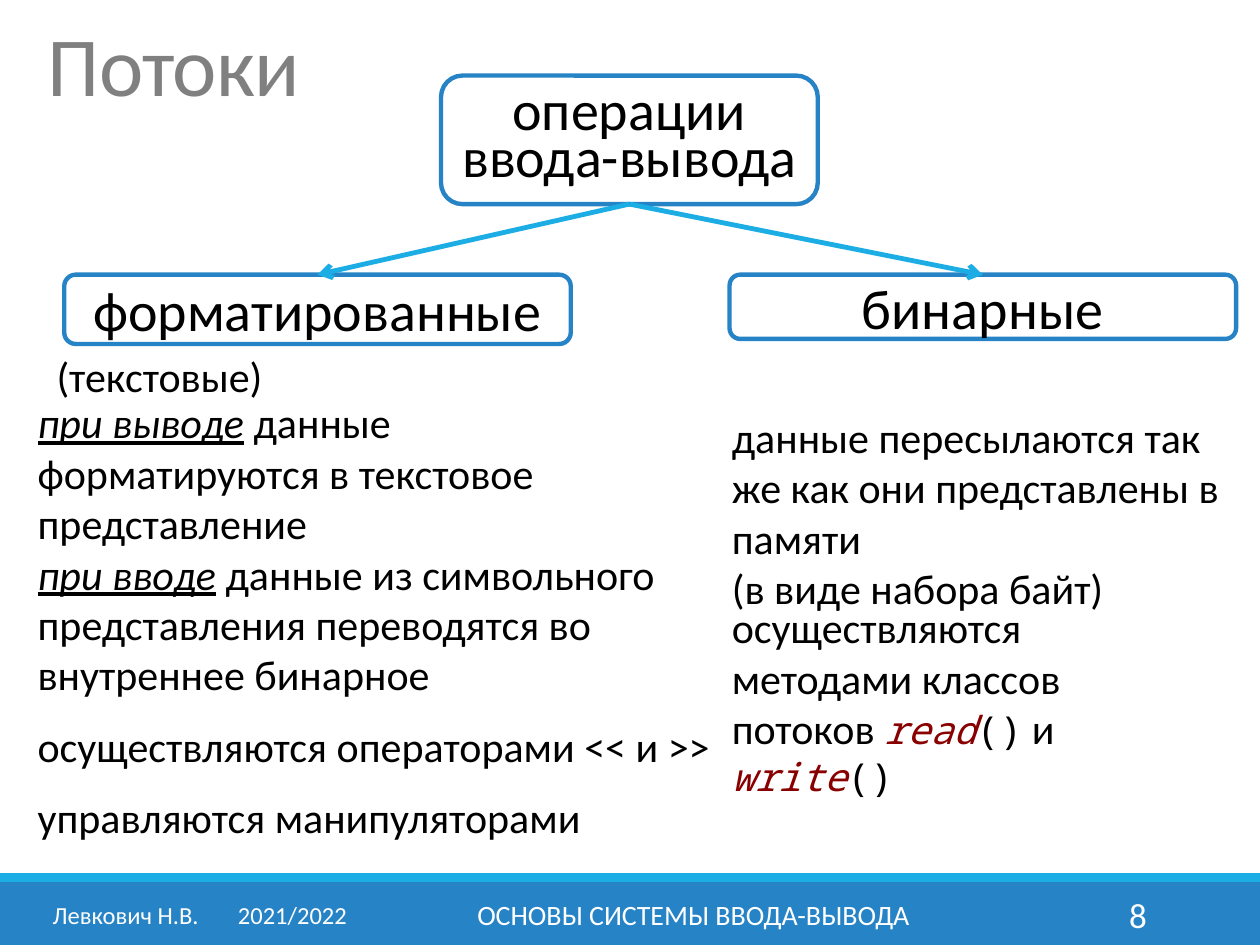
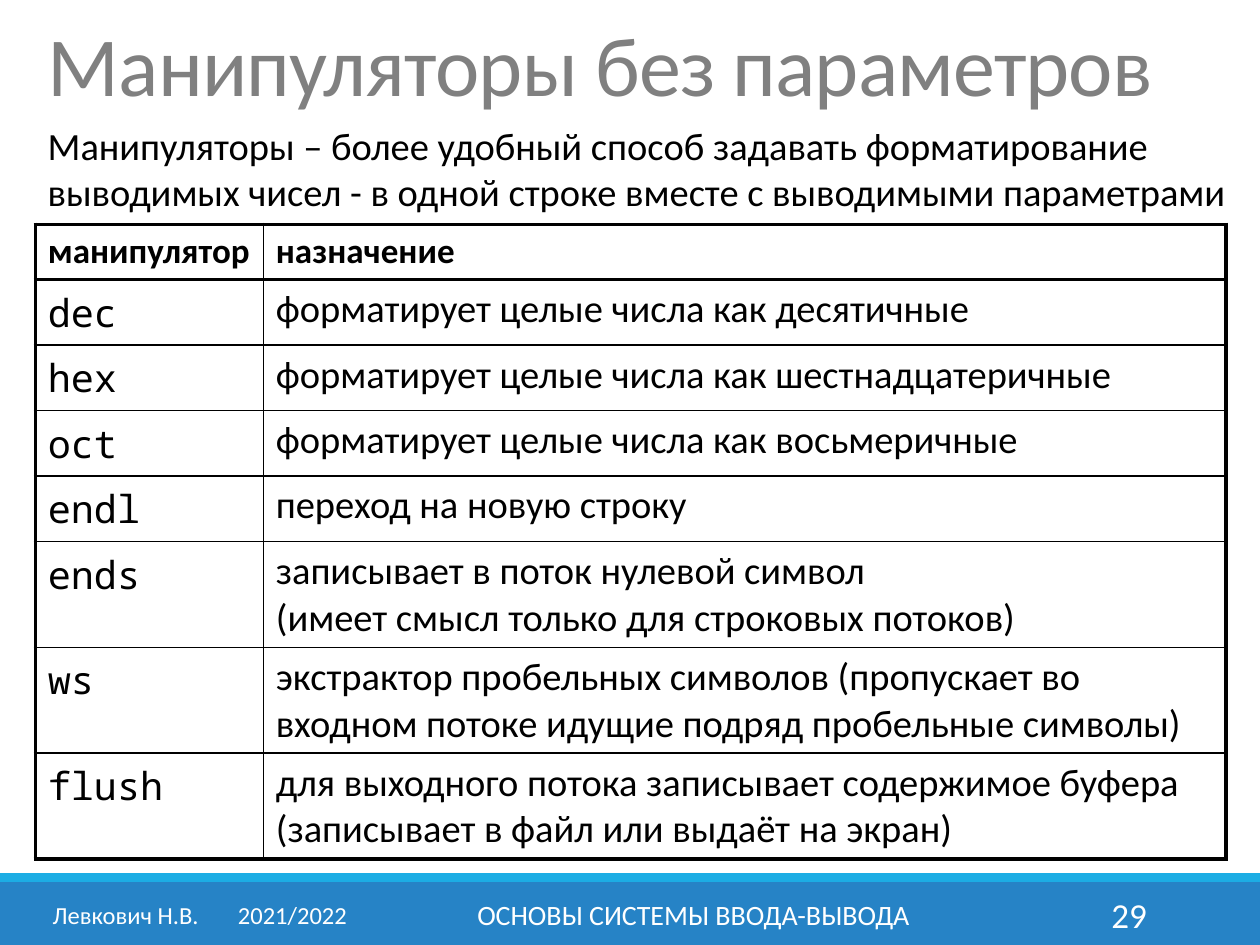
from collections import namedtuple
from dataclasses import dataclass

from lxml import etree
from pptx import Presentation
from pptx.dml.color import RGBColor
from pptx.enum.shapes import MSO_CONNECTOR, MSO_SHAPE
from pptx.enum.text import MSO_ANCHOR, MSO_AUTO_SIZE, PP_ALIGN
from pptx.oxml.ns import qn
from pptx.util import Inches, Pt

RECT, ROUNDED = MSO_SHAPE.RECTANGLE, MSO_SHAPE.ROUNDED_RECTANGLE
STRAIGHT = MSO_CONNECTOR.STRAIGHT
TOP, MIDDLE = MSO_ANCHOR.TOP, MSO_ANCHOR.MIDDLE
LEFT, CENTER, RIGHT, JUSTIFY = PP_ALIGN.LEFT, PP_ALIGN.CENTER, PP_ALIGN.RIGHT, PP_ALIGN.JUSTIFY
NO_AUTOFIT = MSO_AUTO_SIZE.NONE
TITLE_ONLY = 5


@dataclass(frozen=True)
class Style:
    size: float
    color: str = "000000"
    font: str = "Calibri"
    bold: bool = False
    italic: bool = False
    underline: bool = False


class Theme:
    white = "FFFFFF"
    blue = "2683C6"
    cyan = "1CADE4"
    border = "000000"
    outline = 2.5
    arrow = 2.75
    thick = 2.25
    thin = 1
    title = Style(48, "808080")
    node = Style(32)
    body = Style(24)
    emphasis = Style(24, italic=True, underline=True)
    method = Style(22, "880000", "Noto Sans Mono", italic=True)
    code = Style(22, font="Noto Sans Mono")
    intro = Style(22)
    header = Style(20, bold=True)
    author = Style(14, white)
    course = Style(16, white)
    number = Style(20, white)


class Box(namedtuple("Box", "left top width height")):
    def inner(self, left, top, width, height):
        return Box(self.left + left, self.top + top, width, height)

    def inches(self):
        return [Inches(length) for length in self]


PAGE = Box(0, 0, 10, 7.5)
FOOTER = Box(0, 6.93, 10, 0.57)
TREE = Box(0.51, 0.6, 9.3, 2.13)
FORMATTED = Box(0.2, 2.73, 5.59, 3.94)
BINARY = Box(5.71, 3.2, 4.09, 2.83)
MANIPULATORS = Box(0.28, 0.92, 9.61, 5.9)

HEADINGS = ("манипулятор", "назначение")
PURPOSES = [
    ("dec", "форматирует целые числа как десятичные"),
    ("hex", "форматирует целые числа как шестнадцатеричные"),
    ("oct", "форматирует целые числа как восьмеричные"),
    ("endl", "переход на новую строку"),
    ("ends", "записывает в поток нулевой символ\n(имеет смысл только для строковых потоков)"),
    ("ws", "экстрактор пробельных символов (пропускает во входном потоке "
           "идущие подряд пробельные символы)"),
    ("flush", "для выходного потока записывает содержимое буфера "
              "(записывает в файл или выдаёт на экран)"),
]


def rgb(color):
    return RGBColor.from_string(color)


def apply_style(font, style):
    font.name = style.font
    font.size = Pt(style.size)
    font.bold = style.bold
    font.italic = style.italic
    font.underline = style.underline
    font.color.rgb = rgb(style.color)


def write(paragraph, pieces, align=LEFT):
    paragraph.alignment = align
    styles = {style for _, style in pieces}
    for text, style in pieces:
        for index, line in enumerate(text.split("\n")):
            if index:
                paragraph.add_line_break()
            if line:
                run = paragraph.add_run()
                run.text = line
                if len(styles) > 1:
                    apply_style(run.font, style)
    if len(styles) == 1:
        apply_style(paragraph.font, pieces[0][1])


def add_text(slide, box, *paragraphs, align=LEFT, anchor=MIDDLE, gap=0):
    frame = slide.shapes.add_textbox(*box.inches()).text_frame
    frame.word_wrap = True
    frame.vertical_anchor = anchor
    for index, pieces in enumerate(paragraphs):
        paragraph = frame.add_paragraph() if index else frame.paragraphs[0]
        if index:
            paragraph.space_before = Pt(gap)
        write(paragraph, pieces, align)
    return frame


def add_shape(slide, kind, box, fill, line=None):
    shape = slide.shapes.add_shape(kind, *box.inches())
    shape.shadow.inherit = False
    shape.fill.solid()
    shape.fill.fore_color.rgb = rgb(fill)
    if line:
        shape.line.color.rgb = rgb(line)
        shape.line.width = Pt(Theme.outline)
    else:
        shape.line.fill.background()
    return shape


def add_bands(slide, box):
    lower = add_shape(slide, RECT, box.inner(0, 0.07, box.width, 0.5), Theme.blue)
    upper = add_shape(slide, RECT, box.inner(0, 0, box.width, 0.07), Theme.cyan)
    layout_tree = slide.slide_layout.shapes.element
    for index, band in enumerate((lower, upper), 2):
        layout_tree.insert(index, band.element)


def add_footer(slide, box, number):
    author = add_text(slide, box.inner(0.32, 0.13, 2.61, 0.4),
                      [("Левкович Н.В.\t2021/2022", Theme.author)])
    properties = author.paragraphs[0].font._element.getparent()
    stops = etree.Element(qn("a:tabLst"))
    etree.SubElement(stops, qn("a:tab"), pos=str(Inches(1.47)), algn="l")
    properties.find(qn("a:defRPr")).addprevious(stops)
    add_text(slide, box.inner(3.02, 0.13, 4.97, 0.4),
             [("ОСНОВЫ СИСТЕМЫ ВВОДА-ВЫВОДА", Theme.course)], align=CENTER)
    add_text(slide, box.inner(8.12, 0.13, 1.08, 0.4),
             [(str(number), Theme.number)], align=RIGHT)


def add_page(deck, heading, number, title_width):
    slide = deck.slides.add_slide(deck.slide_layouts[TITLE_ONLY])
    title = slide.shapes.title
    title.left, title.top, title.width, title.height = PAGE.inner(
        0.28, 0.13, title_width, 0.87).inches()
    frame = title.text_frame
    frame.auto_size = NO_AUTOFIT
    frame.word_wrap = True
    frame.vertical_anchor = MIDDLE
    paragraph = frame.paragraphs[0]
    write(paragraph, [(heading, Theme.title)])
    paragraph.line_spacing = 0.85
    for defaults in title.element.iter(qn("a:defRPr")):
        defaults.set("spc", "-50")
    add_footer(slide, FOOTER, number)
    return slide


def add_node(slide, box, text, spacing=1.0):
    node = add_shape(slide, ROUNDED, box, Theme.white, Theme.blue)
    frame = node.text_frame
    frame.word_wrap = True
    frame.vertical_anchor = MIDDLE
    write(frame.paragraphs[0], [(text, Theme.node)], CENTER)
    frame.paragraphs[0].line_spacing = spacing


def add_arrow(slide, start, end):
    arrow = slide.shapes.add_connector(STRAIGHT, *map(Inches, start + end))
    arrow.line.color.rgb = rgb(Theme.cyan)
    arrow.line.width = Pt(Theme.arrow)
    properties = arrow.element.spPr
    etree.SubElement(properties.find(qn("a:ln")), qn("a:tailEnd"), type="arrow")
    etree.SubElement(properties, qn("a:effectLst"))


def operations_tree(slide, box):
    root = box.inner(2.99, 0, 2.99, 1.02)
    formatted = box.inner(0, 1.58, 4.02, 0.55)
    binary = box.inner(5.28, 1.58, 4.02, 0.51)
    add_node(slide, root, "операции ввода-вывода", 0.7)
    add_node(slide, formatted, "форматированные")
    add_node(slide, binary, "бинарные")
    start = (root.left + root.width / 2, root.top + root.height)
    for branch in (formatted, binary):
        add_arrow(slide, start, (branch.left + branch.width / 2, branch.top))


def formatted_column(slide, box):
    body = Theme.body
    add_text(slide, box.inner(0.15, 0, 3.39, 0.5), [("(текстовые)", body)], anchor=TOP)
    add_text(slide, box.inner(0, 0.28, 5.12, 2.68), [
        ("при выводе", Theme.emphasis),
        (" данные форматируются в текстовое представление\n", body),
        ("при вводе", Theme.emphasis),
        (" данные из символьного представления переводятся во внутреннее бинарное", body)])
    add_text(slide, box.inner(0, 3, box.width, 0.94),
             [("осуществляются операторами << и >>", body)],
             [("управляются манипуляторами", body)], gap=12)


def binary_column(slide, box):
    body = Theme.body
    add_text(slide, box.inner(0, 0, box.width, 1.73), [
        ("данные пересылаются так же как они представлены в памяти\n"
         "(в виде набора байт)", body)])
    add_text(slide, box.inner(0, 1.89, 3.94, 0.94), [
        ("осуществляются методами классов потоков ", body),
        ("read", Theme.method), ("()", Theme.code), (" и ", body),
        ("write", Theme.method), ("()", Theme.code)])


def set_borders(cell, widths):
    properties = cell._tc.get_or_add_tcPr()
    for index, (side, width) in enumerate(zip("LRTB", widths)):
        line = etree.Element(qn(f"a:ln{side}"), w=str(Pt(width)))
        fill = etree.SubElement(line, qn("a:solidFill"))
        etree.SubElement(fill, qn("a:srgbClr"), val=Theme.border)
        properties.insert(index, line)


def manipulator_table(slide, box):
    add_text(slide, box.inner(0, 0, box.width, 0.84), [
        ("Манипуляторы – более удобный способ задавать форматирование выводимых "
         "чисел - в одной строке вместе с выводимыми параметрами", Theme.intro)],
        anchor=TOP)
    rows = [HEADINGS, *PURPOSES]
    heights = [0.44] + [0.52] * 4 + [0.84] * 3
    table = slide.shapes.add_table(
        len(rows), 2, *box.inner(0, 0.86, 9.45, sum(heights)).inches()).table
    table.first_row = table.horz_banding = False
    for column, width in zip(table.columns, (1.81, 7.64)):
        column.width = Inches(width)
    thick, thin = Theme.thick, Theme.thin
    last = len(rows) - 1
    for r, texts in enumerate(rows):
        table.rows[r].height = Inches(heights[r])
        styles = (Theme.code, Theme.intro) if r else (Theme.header,) * 2
        for c, (text, style) in enumerate(zip(texts, styles)):
            cell = table.cell(r, c)
            cell.fill.background()
            write(cell.text_frame.paragraphs[0], [(text, style)],
                  LEFT if r and c else JUSTIFY)
            set_borders(cell, (thin if c else thick, thick if c else thin,
                               thick if r < 2 else thin,
                               thick if r in (0, last) else thin))


def main():
    deck = Presentation()
    deck.slide_width, deck.slide_height = Inches(PAGE.width), Inches(PAGE.height)

    streams = add_page(deck, "Потоки", 8, 9.45)
    add_bands(streams, FOOTER)
    operations_tree(streams, TREE)
    formatted_column(streams, FORMATTED)
    binary_column(streams, BINARY)

    manipulators = add_page(deck, "Манипуляторы без параметров", 29, 9.09)
    manipulator_table(manipulators, MANIPULATORS)

    deck.save("out.pptx")


if __name__ == "__main__":
    main()
